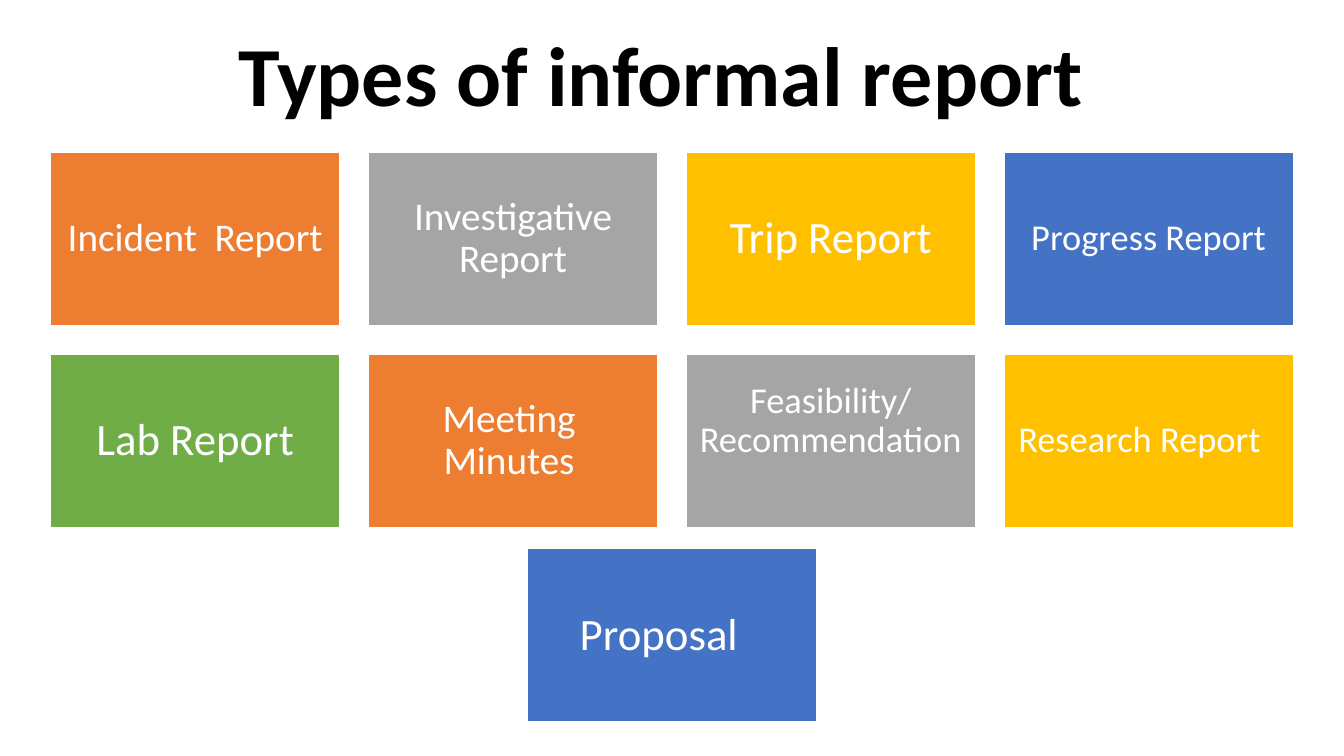
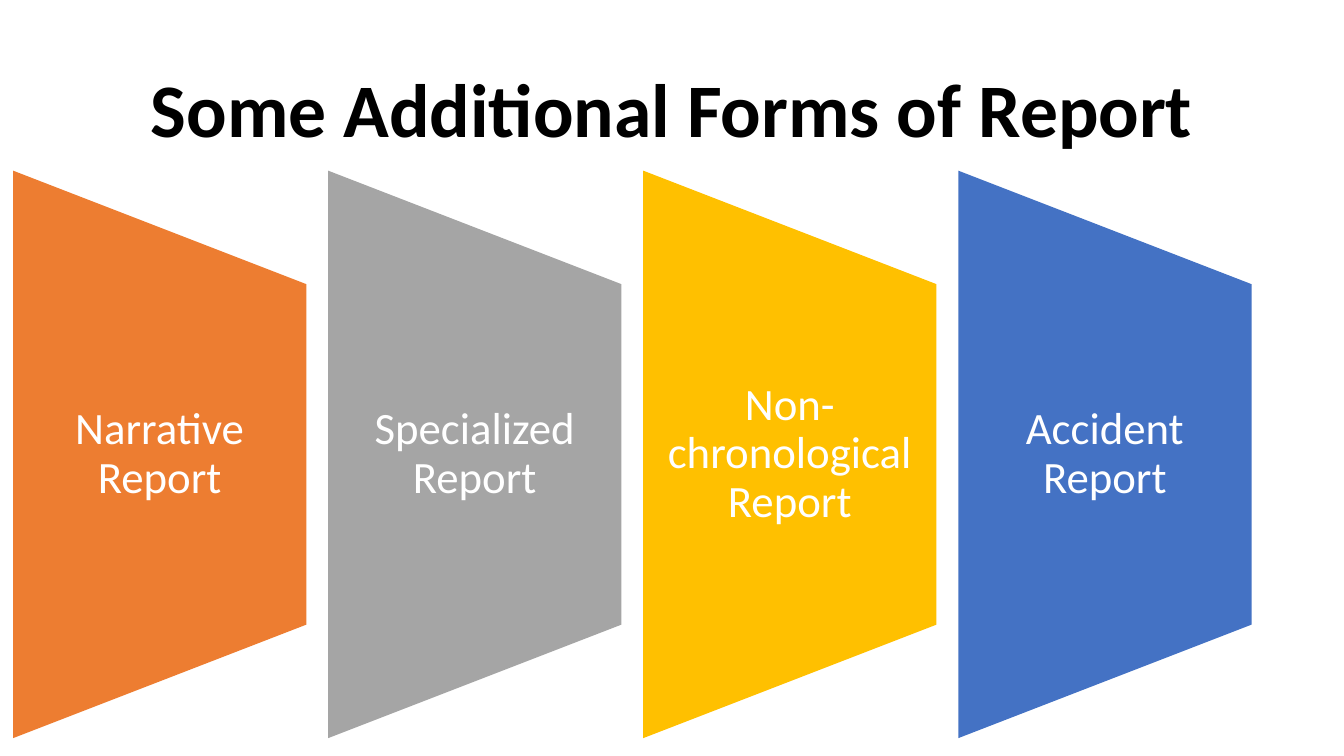
from pptx import Presentation
from pptx.dml.color import RGBColor
from pptx.enum.shapes import MSO_SHAPE
from pptx.enum.text import MSO_ANCHOR, PP_ALIGN
from pptx.util import Cm, Pt

RECTANGLE = MSO_SHAPE.RECTANGLE
TRAPEZOID = MSO_SHAPE.FLOWCHART_MANUAL_OPERATION
CENTER = PP_ALIGN.CENTER
MIDDLE = MSO_ANCHOR.MIDDLE

FONT = "Calibri"
SLIDE_W, SLIDE_H = 33.87, 19.05
COLORS = {
    "orange": "ED7D31",
    "gray": "A5A5A5",
    "gold": "FFC000",
    "blue": "4472C4",
    "green": "70AD47",
    "white": "FFFFFF",
    "black": "000000",
}

TILE_W, TILE_H, TILE_GAP = 7.29, 4.37, 0.72
REPORT_ROWS = [
    [
        ("Incident  Report", "orange", 28, {}),
        ("Investigative Report", "gray", 28, {}),
        ("Trip Report", "gold", 32, {}),
        ("Progress Report", "blue", 26, {}),
    ],
    [
        ("Lab Report", "green", 32, {}),
        ("Meeting Minutes", "orange", 28, {"shift_left": 0.1}),
        ("Feasibility/ Recommendation", "gray", 26, {"shift_up": 0.5}),
        ("Research Report", "gold", 26, {"shift_left": 0.23}),
    ],
]
PROPOSAL = ("Proposal", "blue", 32, {"shift_left": 0.33})
ADDITIONAL_FORMS = [
    ("Narrative Report", "orange"),
    ("Specialized Report", "gray"),
    ("Non-chronological Report", "gold"),
    ("Accident Report", "blue"),
]


def rgb(name):
    return RGBColor.from_string(COLORS[name])


def write(shape, text, size, color="white", bold=False, inset=(0.25, 0.13),
          shift_left=0, shift_up=0):
    frame = shape.text_frame
    frame.word_wrap = True
    frame.vertical_anchor = MIDDLE
    side, edge = inset
    frame.margin_left = Cm(side)
    frame.margin_right = Cm(side + 2 * shift_left)
    frame.margin_top = Cm(edge)
    frame.margin_bottom = Cm(edge + 2 * shift_up)
    paragraph = frame.paragraphs[0]
    paragraph.alignment = CENTER
    paragraph.line_spacing = 0.9
    run = paragraph.add_run()
    run.text = text
    run.font.name = FONT
    run.font.size = Pt(size)
    run.font.bold = bold
    run.font.color.rgb = rgb(color)


def add_text(slide, box, text, size, **style):
    label = slide.shapes.add_textbox(*map(Cm, box))
    write(label, text, size, **style)


def add_block(slide, kind, box, fill, outlined=False):
    block = slide.shapes.add_shape(kind, *map(Cm, box))
    block.shadow.inherit = False
    block.fill.solid()
    block.fill.fore_color.rgb = rgb(fill)
    if outlined:
        block.line.color.rgb = rgb("white")
        block.line.width = Pt(1)
    else:
        block.line.fill.background()
    return block


def add_title(slide, box, text, size):
    add_text(slide, box, text, size, color="black", bold=True)


def add_tile_row(slide, top, reports):
    pitch = TILE_W + TILE_GAP
    left = (SLIDE_W - len(reports) * pitch + TILE_GAP) / 2
    for column, (text, fill, size, shift) in enumerate(reports):
        box = (left + column * pitch, top, TILE_W, TILE_H)
        tile = add_block(slide, RECTANGLE, box, fill, outlined=True)
        inset = size / 250 + 0.19
        write(tile, text, size, inset=(inset, inset), **shift)


def add_tapered_panel(slide, box, text, fill):
    left, top, width, height = box
    turned = (left + (width - height) / 2, top + (height - width) / 2, height, width)
    panel = add_block(slide, TRAPEZOID, turned, fill)
    panel.rotation = 270
    label_box = (left, top + height / 5, width, height * 3 / 5)
    add_text(slide, label_box, text, 32, inset=(0.56, 0))


def build_types_slide(slide):
    add_title(slide, (0, 0.15, 33.3, 3.68), "Types of informal report", 60)
    top = 3.84
    for row, reports in enumerate(REPORT_ROWS):
        add_tile_row(slide, top + row * (TILE_H + TILE_GAP), reports)
    add_tile_row(slide, 13.83, [PROPOSAL])


def build_additional_slide(slide):
    add_title(slide, (2.33, 1.01, 29.21, 3.68), "Some Additional Forms of Report", 54)
    left, top, width, height, gap = 0.33, 4.3, 7.39, 14.3, 0.55
    for column, (text, fill) in enumerate(ADDITIONAL_FORMS):
        box = (left + column * (width + gap), top, width, height)
        add_tapered_panel(slide, box, text, fill)


def main():
    deck = Presentation()
    deck.slide_width, deck.slide_height = Cm(SLIDE_W), Cm(SLIDE_H)
    blank = deck.slide_layouts[6]
    for build in (build_types_slide, build_additional_slide):
        build(deck.slides.add_slide(blank))
    deck.save("out.pptx")


if __name__ == "__main__":
    main()
